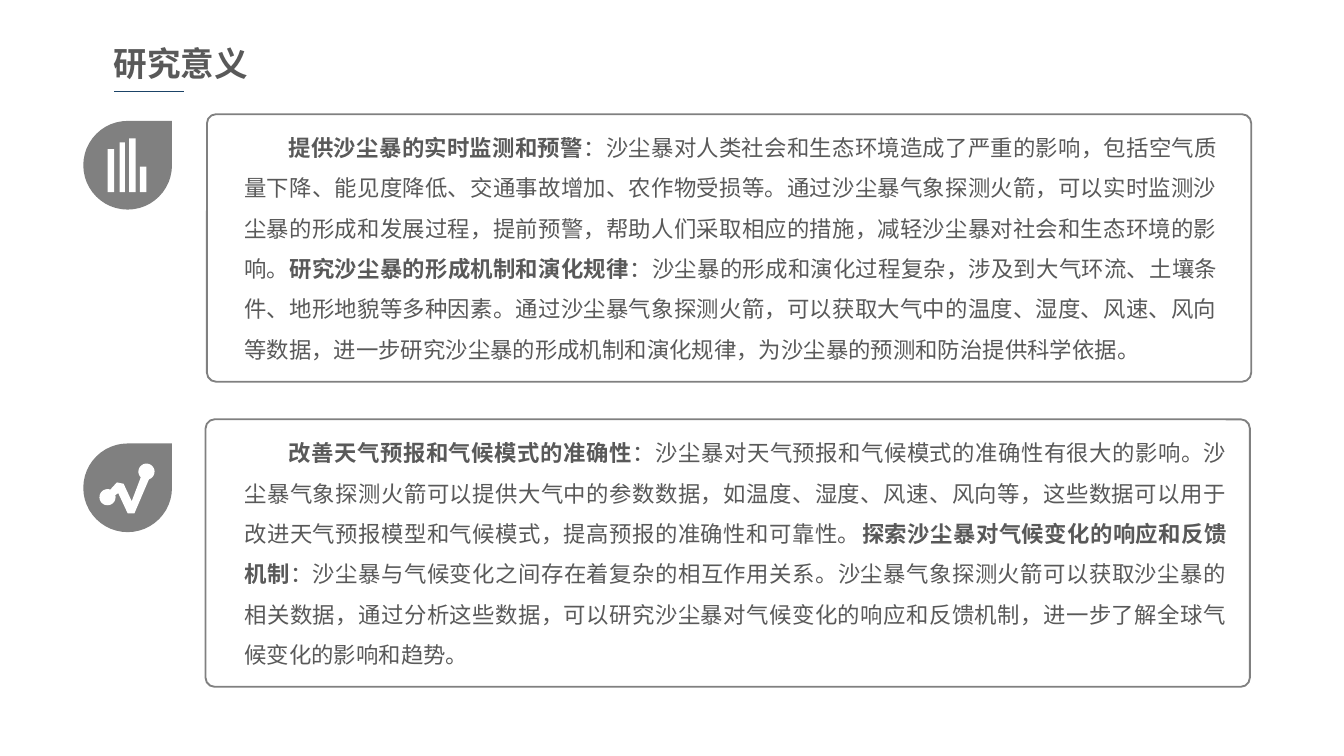
from math import cos, radians, sin

from lxml import etree
from pptx import Presentation
from pptx.dml.color import RGBColor
from pptx.enum.shapes import MSO_CONNECTOR, MSO_SHAPE
from pptx.enum.text import MSO_ANCHOR, PP_ALIGN
from pptx.oxml.ns import qn
from pptx.util import Inches, Pt

RECTANGLE, ROUNDED, TEARDROP = MSO_SHAPE.RECTANGLE, MSO_SHAPE.ROUNDED_RECTANGLE, MSO_SHAPE.TEAR
CENTER, JUSTIFY = PP_ALIGN.CENTER, PP_ALIGN.JUSTIFY
TOP = MSO_ANCHOR.TOP
STRAIGHT = MSO_CONNECTOR.STRAIGHT
FONT = "Noto Sans CJK SC"
COLORS = {"text": "595959", "gray": "808080", "white": "FFFFFF", "accent": "1B4367"}

# Content: each panel holds (heading, explanation) pairs in one paragraph
TITLE = "研究意义"
PANELS = [
    {"left": 1.54, "top": 0.85, "text_width": 7.44, "icon_top": 0.9, "topics": [
        ("提供沙尘暴的实时监测和预警",
         "：沙尘暴对人类社会和生态环境造成了严重的影响，包括空气质量下降、能见度降低、交通事故增加、农作物受损等。"
         "通过沙尘暴气象探测火箭，可以实时监测沙尘暴的形成和发展过程，提前预警，帮助人们采取相应的措施，"
         "减轻沙尘暴对社会和生态环境的影响。"),
        ("研究沙尘暴的形成机制和演化规律",
         "：沙尘暴的形成和演化过程复杂，涉及到大气环流、土壤条件、地形地貌等多种因素。"
         "通过沙尘暴气象探测火箭，可以获取大气中的温度、湿度、风速、风向等数据，"
         "进一步研究沙尘暴的形成机制和演化规律，为沙尘暴的预测和防治提供科学依据。"),
    ]},
    {"left": 1.53, "top": 3.12, "text_width": 7.51, "icon_top": 3.3, "topics": [
        ("改善天气预报和气候模式的准确性",
         "：沙尘暴对天气预报和气候模式的准确性有很大的影响。沙尘暴气象探测火箭可以提供大气中的参数数据，"
         "如温度、湿度、风速、风向等，这些数据可以用于改进天气预报模型和气候模式，提高预报的准确性和可靠性。"),
        ("探索沙尘暴对气候变化的响应和反馈机制",
         "：沙尘暴与气候变化之间存在着复杂的相互作用关系。沙尘暴气象探测火箭可以获取沙尘暴的相关数据，"
         "通过分析这些数据，可以研究沙尘暴对气候变化的响应和反馈机制，进一步了解全球气候变化的影响和趋势。"),
    ]},
]
BARS = [(0.8, 0.05, 0.32), (0.89, 0.04, 0.37), (0.96, 0.05, 0.4), (1.04, 0.05, 0.19)]
BAR_BASE = 1.43


def color(name):
    return RGBColor.from_string(COLORS[name])


def write_text(shape, runs, size=12, align=JUSTIFY, spacing=None, indent=0, insets=(0.1, 0.05)):
    """Fill a shape with one paragraph of (text, bold) runs."""
    frame = shape.text_frame
    frame.word_wrap = True
    frame.vertical_anchor = TOP
    frame.margin_left = frame.margin_right = Inches(insets[0])
    frame.margin_top = frame.margin_bottom = Inches(insets[1])
    paragraph = frame.paragraphs[0]
    paragraph.alignment = align
    if spacing:
        paragraph.line_spacing = spacing
    properties = paragraph._p.get_or_add_pPr()
    properties.set("marL", "0")
    properties.set("indent", str(Inches(indent)))
    for text, bold in runs:
        run = paragraph.add_run()
        run.text = text
        run.font.size = Pt(size)
        run.font.bold = bold
        run.font.color.rgb = color("text")
        run.font.name = FONT
        etree.SubElement(run._r.get_or_add_rPr(), qn("a:ea")).set("typeface", FONT)


def paint(shape, fill=None, line=None):
    shape.shadow.inherit = False
    if fill:
        shape.fill.solid()
        shape.fill.fore_color.rgb = color(fill)
    else:
        shape.fill.background()
    if line:
        shape.line.color.rgb = color(line)
        shape.line.width = Pt(1)
    else:
        shape.line.fill.background()


def add_shape(shapes, kind, left, top, width, height, **style):
    shape = shapes.add_shape(kind, Inches(left), Inches(top), Inches(width), Inches(height))
    paint(shape, **style)
    return shape


def arc(x, y, radius, start, end, steps=24):
    angles = [radians(start + (end - start) * i / steps) for i in range(steps + 1)]
    return [(x + radius * cos(a), y + radius * sin(a)) for a in angles]


# A 16:9 slide
presentation = Presentation()
presentation.slide_width = Inches(10)
presentation.slide_height = Inches(10 * 9 / 16)
slide = presentation.slides.add_slide(presentation.slide_layouts[5])
shapes = slide.shapes

# Title and its underline
title = shapes.title
title.left, title.top, title.width, title.height = map(Inches, (0.11, 0.28, 2.47, 0.38))
write_text(title, [(TITLE, True)], size=18, align=CENTER, insets=(0.07, 0.04))
underline = shapes.add_connector(STRAIGHT, Inches(0.85), Inches(0.68), Inches(1.37), Inches(0.68))
underline.line.color.rgb = color("accent")
underline.line.width = Pt(0.75)
etree.SubElement(underline._element.spPr, qn("a:effectLst"))

# Panels: icon background, text and frame
for panel in PANELS:
    add_shape(shapes, TEARDROP, 0.62, panel["icon_top"], 0.66, 0.66, fill="gray")
    box = shapes.add_textbox(Inches(1.72), Inches(panel["top"]),
                             Inches(panel["text_width"]), Inches(1.92))
    runs = [run for heading, body in panel["topics"] for run in ((heading, True), (body, False))]
    write_text(box, runs, spacing=1.5, indent=0.33)
    frame = add_shape(shapes, ROUNDED, panel["left"], panel["top"], 7.77, 1.99, line="gray")
    frame.adjustments[0] = 0.034

# Bar icon
bar_icon = shapes.add_group_shape()
for left, width, height in BARS:
    add_shape(bar_icon.shapes, RECTANGLE, left, BAR_BASE - height, width, height, fill="white")

# Trend icon: two round ends joined by a zigzag
outline = (arc(1.09, 3.51, 0.06, 72, -225)
           + [(0.98, 3.73), (0.92, 3.6), (0.87, 3.59)]
           + arc(0.8, 3.7, 0.06, -70, -375)
           + [(0.88, 3.67), (0.95, 3.82), (1, 3.82)])
points = [(Inches(x), Inches(y)) for x, y in outline]
builder = shapes.build_freeform(*points[0])
builder.add_line_segments(points[1:], close=True)
paint(builder.convert_to_shape(), fill="white")

presentation.save("out.pptx")
